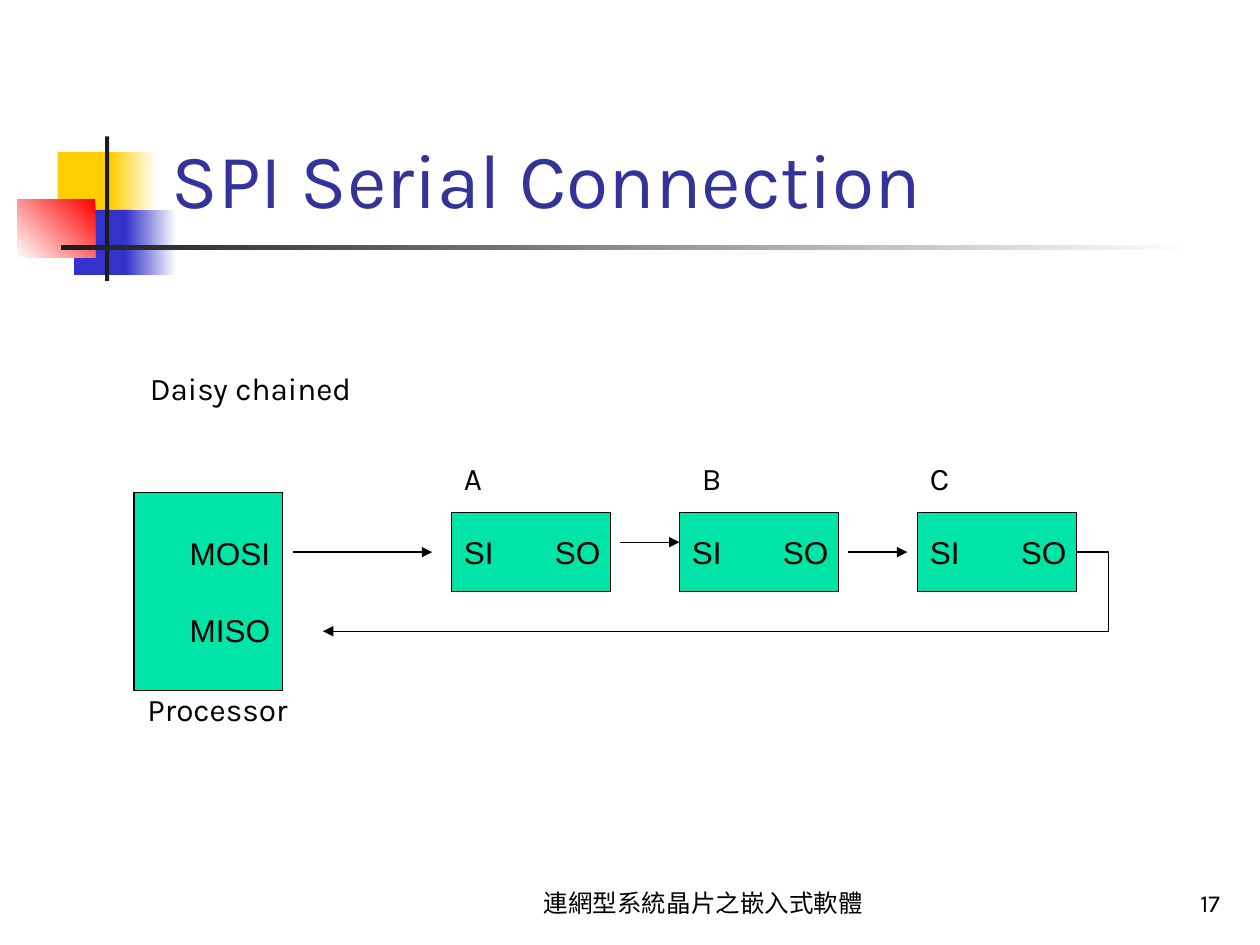
from lxml.etree import SubElement
from pptx import Presentation
from pptx.dml.color import RGBColor
from pptx.enum.shapes import MSO_CONNECTOR, MSO_SHAPE
from pptx.enum.text import MSO_ANCHOR, PP_ALIGN
from pptx.oxml.ns import qn
from pptx.util import Pt

COLORS = {
    "yellow": "FFCF01", "blue": "3333CC", "red": "FF0000", "dark": "1C1C1C",
    "white": "FFFFFF", "black": "000000", "title": "333399", "green": "00E4A8",
}


def rgb(name):
    """Return the named colour."""
    return RGBColor.from_string(COLORS[name])


def write(s, *lines, size=18, font="Karla", color="black", align=PP_ALIGN.LEFT,
          anchor=MSO_ANCHOR.TOP, gap=0, tab=None, right=7.2):
    """Fill a shape with formatted paragraphs."""
    tf = s.text_frame
    tf.word_wrap = True
    tf.vertical_anchor = anchor
    tf.margin_left, tf.margin_right = Pt(7.2), Pt(right)
    tf.margin_top = tf.margin_bottom = Pt(3.6)
    for i, line in enumerate(lines):
        p = tf.paragraphs[0] if i == 0 else tf.add_paragraph()
        p.alignment = align
        p.space_before = Pt(gap if i else 0)
        if tab:
            tabs = SubElement(p._p.get_or_add_pPr(), qn("a:tabLst"))
            SubElement(tabs, qn("a:tab"), pos=str(Pt(tab)), algn="l")
        r = p.add_run()
        r.text = line
        r.font.size, r.font.name = Pt(size), font
        r.font.color.rgb = rgb(color)


def add_text(slide, box, text, **fmt):
    """Add a text box."""
    write(slide.shapes.add_textbox(*map(Pt, box)), text, **fmt)


def add_rect(slide, box, color, fade=None, outlined=False):
    """Add a rectangle, solid or fading to white at the given angle."""
    s = slide.shapes.add_shape(MSO_SHAPE.RECTANGLE, *map(Pt, box))
    s.shadow.inherit = False
    if fade is None:
        s.fill.solid()
        s.fill.fore_color.rgb = rgb(color)
    else:
        s.fill.gradient()
        s.fill.gradient_angle = fade
        for stop, name in zip(s.fill.gradient_stops, (color, "white")):
            stop.color.rgb = rgb(name)
    if outlined:
        s.line.color.rgb = rgb("black")
        s.line.width = Pt(0.75)
    else:
        s.line.fill.background()
    return s


def add_arrow(slide, start, end, kind=MSO_CONNECTOR.STRAIGHT, bend=None):
    """Add a connector with an arrowhead at its end."""
    c = slide.shapes.add_connector(kind, *map(Pt, (*start, *end)))
    c.line.color.rgb = rgb("black")
    c.line.width = Pt(0.75)
    SubElement(c.line._get_or_add_ln(), qn("a:tailEnd"), type="triangle")
    SubElement(c._element.spPr, qn("a:effectLst"))
    if bend is not None:
        guides = c._element.spPr.find(qn("a:prstGeom")).find(qn("a:avLst"))
        SubElement(guides, qn("a:gd"), name="adj1", fmla=f"val {bend}")


def add_ornament(slide, x, y):
    """Draw the coloured squares and crossing bars."""
    for dx, dy, w, h, color, fade in (
        (23, 8.8, 34.6, 37.2, "yellow", None),
        (53.2, 8.8, 26, 37.2, "yellow", 0),
        (32.4, 42, 33, 37.2, "blue", None),
        (62, 42, 28.6, 37.2, "blue", 0),
        (0, 36, 44.4, 33.4, "red", 225),
        (50, 0, 2.4, 82.6, "dark", None),
        (25, 62.2, 648, 2.5, "dark", 0),
    ):
        add_rect(slide, (x + dx, y + dy, w, h), color, fade)


def add_title(slide, box, text):
    """Place the title placeholder."""
    s = slide.shapes.title
    s.left, s.top, s.width, s.height = map(Pt, box)
    write(s, text, size=44, color="title", anchor=MSO_ANCHOR.BOTTOM)


def add_processor(slide, x, y, w, h):
    """Draw the processor with its two pins and caption."""
    s = add_rect(slide, (x, y, w, h), "green", outlined=True)
    write(s, "MOSI", "MISO", font="Arial", align=PP_ALIGN.RIGHT,
          anchor=MSO_ANCHOR.MIDDLE, gap=22)
    add_text(slide, (x + 0.7, y + h - 4, 98, 29), "Processor")


def add_device(slide, x, y, w, h, name, label_x):
    """Draw a chained device with its label above."""
    s = add_rect(slide, (x, y, w, h), "green", outlined=True)
    write(s, "SI\tSO", font="Arial", anchor=MSO_ANCHOR.MIDDLE, tab=52, right=0)
    add_text(slide, (label_x, y - 34.5, 26, 29), name)


def add_chain(slide, x, y):
    """Draw the processor, the devices and the signal path."""
    add_processor(slide, x, y, 85, 113)
    for name, dx, label_dx in (("A", 181.5, 181.5), ("B", 311.8, 317.5), ("C", 447.8, 447.8)):
        add_device(slide, x + dx, y + 11.5, 90.7, 45.2, name, x + label_dx)
    for x1, x2, dy in ((90.7, 170.5, 34), (278, 311.8, 28.3), (408.3, 442, 34)):
        add_arrow(slide, (x + x1, y + dy), (x + x2, y + dy))
    add_arrow(slide, (x + 539, y + 34), (x + 108, y + 79.2),
              MSO_CONNECTOR.ELBOW, bend=-4200)


def add_footer(slide, y, h):
    """Write the footer and page number."""
    fmt = {"size": 14, "anchor": MSO_ANCHOR.BOTTOM}
    add_text(slide, (288, y, 228, h), "連網型系統晶片之嵌入式軟體",
             align=PP_ALIGN.CENTER, **fmt)
    add_text(slide, (554.4, y, 149.8, h), "17", align=PP_ALIGN.RIGHT, **fmt)


def main():
    """Build and save the slide."""
    prs = Presentation()
    prs.slide_width, prs.slide_height = Pt(720), Pt(540)
    slide = prs.slides.add_slide(prs.slide_layouts[5])
    add_ornament(slide, 10, 78)
    add_title(slide, (91, 16.5, 613.5, 115.2), "SPI Serial Connection")
    add_text(slide, (78.5, 207.5, 132, 29), "Daisy chained")
    add_chain(slide, 76.5, 281.5)
    add_footer(slide, 492, 36)
    prs.save("out.pptx")


if __name__ == "__main__":
    main()
